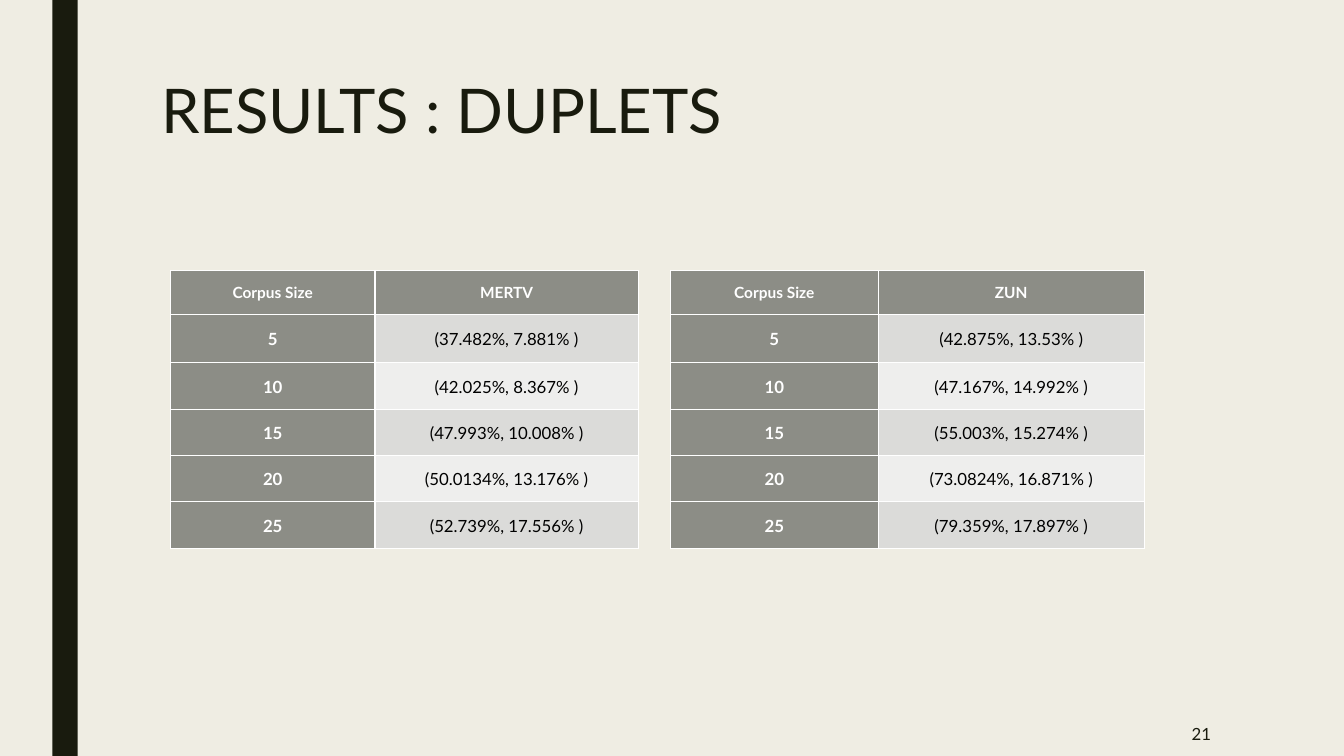
from lxml import etree
from pptx import Presentation
from pptx.dml.color import RGBColor
from pptx.enum.shapes import MSO_SHAPE
from pptx.enum.text import MSO_ANCHOR, PP_ALIGN
from pptx.oxml.ns import qn
from pptx.util import Inches, Pt

RECT = MSO_SHAPE.RECTANGLE
TOP, MIDDLE = MSO_ANCHOR.TOP, MSO_ANCHOR.MIDDLE
LEFT, CENTER, RIGHT = PP_ALIGN.LEFT, PP_ALIGN.CENTER, PP_ALIGN.RIGHT
FONT = "Lato"
COLORS = {
    "background": "EFEDE3", "dark": "191B0E", "header": "8C8D86",
    "band_dark": "DBDBD9", "band_light": "EEEEED",
    "white": "FFFFFF", "black": "000000",
}


def set_text(tf, text, size, color, align, bold=False):
    p = tf.paragraphs[0]
    p.text = text
    p.alignment = align
    p.font.name = FONT
    p.font.size = Pt(size)
    p.font.bold = bold
    p.font.color.rgb = RGBColor.from_string(COLORS[color])
    return p


def set_border(cell, side, width):
    ln = etree.SubElement(cell._tc.get_or_add_tcPr(), qn("a:ln" + side), w=str(Pt(width)))
    fill = etree.SubElement(ln, qn("a:solidFill"))
    etree.SubElement(fill, qn("a:srgbClr"), val=COLORS["white"])


prs = Presentation()
prs.slide_width, prs.slide_height = Inches(13.33), Inches(7.5)
s = prs.slides.add_slide(prs.slide_layouts[6])
s.background.fill.solid()
s.background.fill.fore_color.rgb = RGBColor.from_string(COLORS["background"])

# Side bar
bar = s.shapes.add_shape(RECT, Inches(0.52), 0, Inches(0.25), prs.slide_height)
bar.shadow.inherit = False
bar.fill.solid()
bar.fill.fore_color.rgb = RGBColor.from_string(COLORS["dark"])
bar.line.fill.background()

# Title and slide number
texts = [
    ("RESULTS : DUPLETS", 1.5, 0.75, 10.5, 1.62, 44, LEFT, TOP, 0.89),
    ("21", 10.36, 7.06, 1.75, 0.44, 12, RIGHT, MIDDLE, 1.0),
]
for text, x, y, w, h, size, align, anchor, spacing in texts:
    tf = s.shapes.add_textbox(Inches(x), Inches(y), Inches(w), Inches(h)).text_frame
    tf.word_wrap = True
    tf.vertical_anchor = anchor
    p = set_text(tf, text, size, "dark", align)
    p.line_spacing = spacing

# Result tables, one per channel
sizes = ["5", "10", "15", "20", "25"]
row_heights = [0.44, 0.48, 0.46, 0.46, 0.46, 0.46]
channels = [
    ("MERTV", 1.69, [2.03, 2.61],
     ["(37.482%, 7.881% )", "(42.025%, 8.367% )", "(47.993%, 10.008% )",
      "(50.0134%, 13.176% )", "(52.739%, 17.556% )"]),
    ("ZUN", 6.65, [2.06, 2.64],
     ["(42.875%, 13.53% )", "(47.167%, 14.992% )", "(55.003%, 15.274% )",
      "(73.0824%, 16.871% )", "(79.359%, 17.897% )"]),
]
for channel, left, col_widths, results in channels:
    rows = [("Corpus Size", channel), *zip(sizes, results)]
    table = s.shapes.add_table(len(rows), 2, Inches(left), Inches(2.68),
                               Inches(sum(col_widths)), Inches(sum(row_heights))).table
    for column, width in zip(table.columns, col_widths):
        column.width = Inches(width)
    for i, row in enumerate(rows):
        table.rows[i].height = Inches(row_heights[i])
        for j, text in enumerate(row):
            cell = table.cell(i, j)
            cell.vertical_anchor = MIDDLE
            cell.margin_left = cell.margin_right = cell.margin_top = Inches(0.01)
            cell.margin_bottom = 0
            heading = i == 0 or j == 0
            set_text(cell.text_frame, text, 11 if i == 0 else 12,
                     "white" if heading else "black", CENTER, heading)
            # The rule under the header row is thicker
            for side in "LRTB":
                thick = (i, side) in [(0, "B"), (1, "T")]
                set_border(cell, side, 1.5 if thick else 1)
            band = "band_dark" if i % 2 else "band_light"
            cell.fill.solid()
            cell.fill.fore_color.rgb = RGBColor.from_string(COLORS["header" if heading else band])

prs.save("out.pptx")
